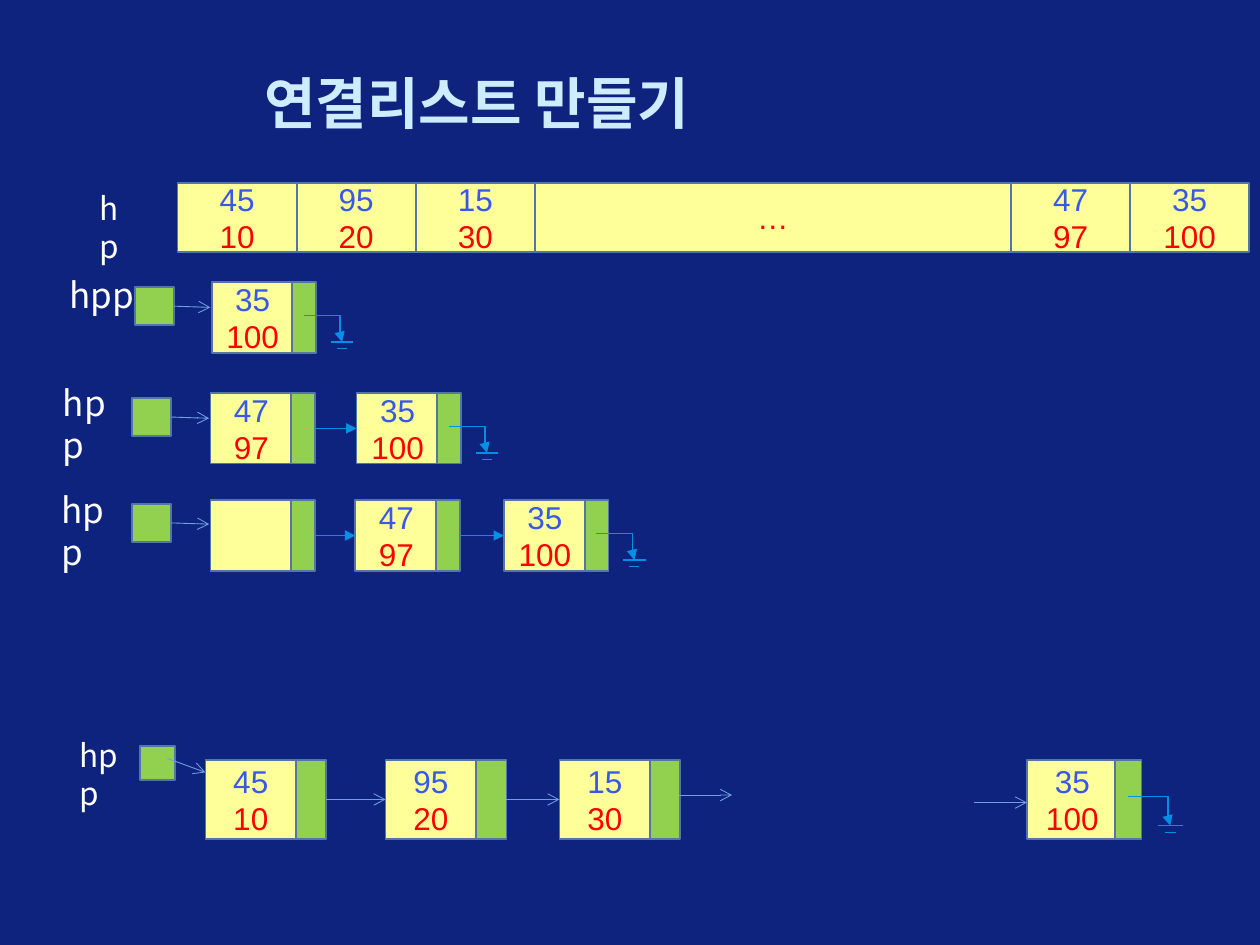
"""Build a slide that grows a linked list from an array, one node at a time."""
from dataclasses import dataclass

from lxml import etree
from pptx import Presentation
from pptx import util as u
from pptx.dml.color import RGBColor
from pptx.enum import shapes, text
from pptx.oxml import ns


@dataclass(frozen=True)
class Theme:
    background: str = "0E237E"
    title: str = "CCECFF"
    label: str = "FFFFFF"
    data: str = "FFFF99"
    pointer: str = "92D050"
    border: str = "5375A7"
    key: str = "3758E9"
    value: str = "FF0000"
    link: str = "0090E6"
    thin_link: str = "709EE2"
    latin: str = "Arial"
    korean: str = "Noto Sans CJK KR"
    title_size: int = 32
    cell_size: int = 18
    label_size: int = 20


THEME = Theme()
TITLE = "연결리스트 만들기"
KEYS = {45: 10, 95: 20, 15: 30, 47: 97, 35: 100}
ARRAY_LEFT, ARRAY_TOP, CELL_WIDTH, CELL_HEIGHT = 1.41, 1.45, 0.945, 0.55
ARRAY = [(45, 1), (95, 1), (15, 1), (None, 4), (47, 1), (35, 1)]
SMALL = dict(data=0.65, height=0.56, offset=0.64, pointer=0.19, head=(0.31, 0.3), scale=1)
LARGE = dict(data=0.72, height=0.63, offset=0.72, pointer=0.24, head=(0.28, 0.27), scale=1.1)
LISTS = [
    dict(size=SMALL, label=("hpp", 0.45, 2.12, 0.79), head=(1.07, 2.28), top=2.24,
         nodes=[(1.68, 35)]),
    dict(size=SMALL, label=("hpp", 0.4, 2.98, 0.7), head=(1.05, 3.16), top=3.12,
         nodes=[(1.67, 47), (2.83, 35)]),
    dict(size=SMALL, label=("hpp", 0.39, 3.83, 0.7), head=(1.05, 4), top=3.97,
         nodes=[(1.67, None), (2.82, 47), (4, 35)]),
    dict(size=LARGE, label=("hpp", 0.53, 5.79, 0.65), head=(1.11, 5.92), top=6.03,
         nodes=[(1.63, 45), (3.06, 95), (4.44, 15), (8.15, 35)]),
]
STUBS = [(5.39, 6.31), (7.73, 6.37)]
STUB_LENGTH = 0.42

deck = Presentation()
deck.slide_width, deck.slide_height = u.Inches(10), u.Inches(7.5)
page = deck.slides.add_slide(deck.slide_layouts[6])
page.background.fill.solid()
page.background.fill.fore_color.rgb = RGBColor.from_string(THEME.background)


def style(para, size, color, font, bold=False):
    for span in para.runs:
        span.font.size, span.font.bold, span.font.name = u.Pt(size), bold, font
        span.font.color.rgb = RGBColor.from_string(color)
        east = etree.SubElement(span.font._element, ns.qn("a:ea"))
        east.set("typeface", THEME.korean)


def add_text(content, left, top, width, height, size, color, font, bold=False):
    box = page.shapes.add_textbox(*map(u.Inches, (left, top, width, height)))
    box.text_frame.word_wrap = True
    box.text_frame.text = content
    style(box.text_frame.paragraphs[0], size, color, font, bold)
    return box


def add_box(left, top, width, height, fill, lines=()):
    box = page.shapes.add_shape(shapes.MSO_SHAPE.RECTANGLE,
                                *map(u.Inches, (left, top, width, height)))
    box.shadow.inherit = False
    box.fill.solid()
    box.fill.fore_color.rgb = RGBColor.from_string(fill)
    box.line.color.rgb = RGBColor.from_string(THEME.border)
    box.line.width = u.Pt(1)
    frame = box.text_frame
    frame.vertical_anchor = text.MSO_ANCHOR.MIDDLE
    if lines:
        frame.text = "\n".join(content for content, _ in lines)
        for para, (_, color) in zip(frame.paragraphs, lines):
            para.alignment = text.PP_ALIGN.CENTER
            style(para, THEME.cell_size, color, THEME.latin)


def add_line(start, end, color, width, tail=None, bend=None):
    kind = shapes.MSO_CONNECTOR.ELBOW if bend else shapes.MSO_CONNECTOR.STRAIGHT
    line = page.shapes.add_connector(kind, *map(u.Inches, (*start, *end)))
    line.line.color.rgb = RGBColor.from_string(color)
    line.line.width = u.Pt(width)
    properties = line._element.spPr
    if tail:
        etree.SubElement(properties.find(ns.qn("a:ln")), ns.qn("a:tailEnd")).set("type", tail)
    if bend:
        guides = properties.find(ns.qn("a:prstGeom")).find(ns.qn("a:avLst"))
        guide = etree.SubElement(guides, ns.qn("a:gd"))
        guide.set("name", "adj1")
        guide.set("fmla", f"val {bend}")
    etree.SubElement(properties, ns.qn("a:effectLst"))


def entry(key):
    return [(str(key), THEME.key), (str(KEYS[key]), THEME.value)] if key else []


def thin_arrow(start, end):
    add_line(start, end, THEME.thin_link, 0.5, "arrow")


def add_ground(left, top, scale):
    x, y = left + 0.73 * scale, top + 0.265 * scale
    end_x, end_y = x + 0.305 * scale, y + 0.21 * scale
    add_line((x, y), (end_x, end_y), THEME.link, 0.75, "triangle", bend=94800)
    for half, drop in ((0.09, 0), (0.04, 0.05)):
        bar_y = end_y + drop * scale
        add_line((end_x - half * scale, bar_y), (end_x + half * scale, bar_y), THEME.link, 0.75)


def add_list(size, label, head, top, nodes):
    large = size is LARGE
    name, left, label_top, width = label
    label_size = THEME.cell_size if large else THEME.label_size
    add_text(name, left, label_top, width, 0.44, label_size, THEME.label, THEME.korean)
    add_box(*head, *size["head"], THEME.pointer)
    for x, key in nodes:
        last = large and x == nodes[-1][0]
        offset, pointer = (0.7, 0.21) if last else (size["offset"], size["pointer"])
        add_box(x, top, size["data"], size["height"], THEME.data, entry(key))
        add_box(x + offset, top, pointer, size["height"], THEME.pointer)
    first = nodes[0][0]
    if large:
        thin_arrow((1.33, 6.02), (first, top + 0.1))
    else:
        y = head[1] + size["head"][1] / 2
        thin_arrow((head[0] + size["head"][0], y), (first - 0.01, y + 0.01))
    linked = nodes[:-1] if large else nodes
    for (x, _), (following, _) in zip(linked, linked[1:]):
        y = top + size["height"] / 2
        start, end = (x + size["offset"] + size["pointer"], y), (following, y)
        if large:
            thin_arrow(start, end)
        else:
            add_line(start, end, THEME.link, 0.75, "triangle")
    add_ground(nodes[-1][0], top, size["scale"])


title = add_text(TITLE, 2, 0.5, 7.58, 0.62, THEME.title_size, THEME.title, THEME.latin, True)
title.text_frame.vertical_anchor = text.MSO_ANCHOR.MIDDLE

add_text("hp", 0.69, 1.45, 0.5, 0.4, THEME.cell_size, THEME.label, THEME.korean)
cell_left = ARRAY_LEFT
for key, cells in ARRAY:
    add_box(cell_left, ARRAY_TOP, cells * CELL_WIDTH, CELL_HEIGHT, THEME.data,
            entry(key) or [("…", THEME.value)])
    cell_left += cells * CELL_WIDTH

for linked_list in LISTS:
    add_list(**linked_list)
for x, y in STUBS:
    thin_arrow((x, y), (x + STUB_LENGTH, y))

deck.save("out.pptx")
